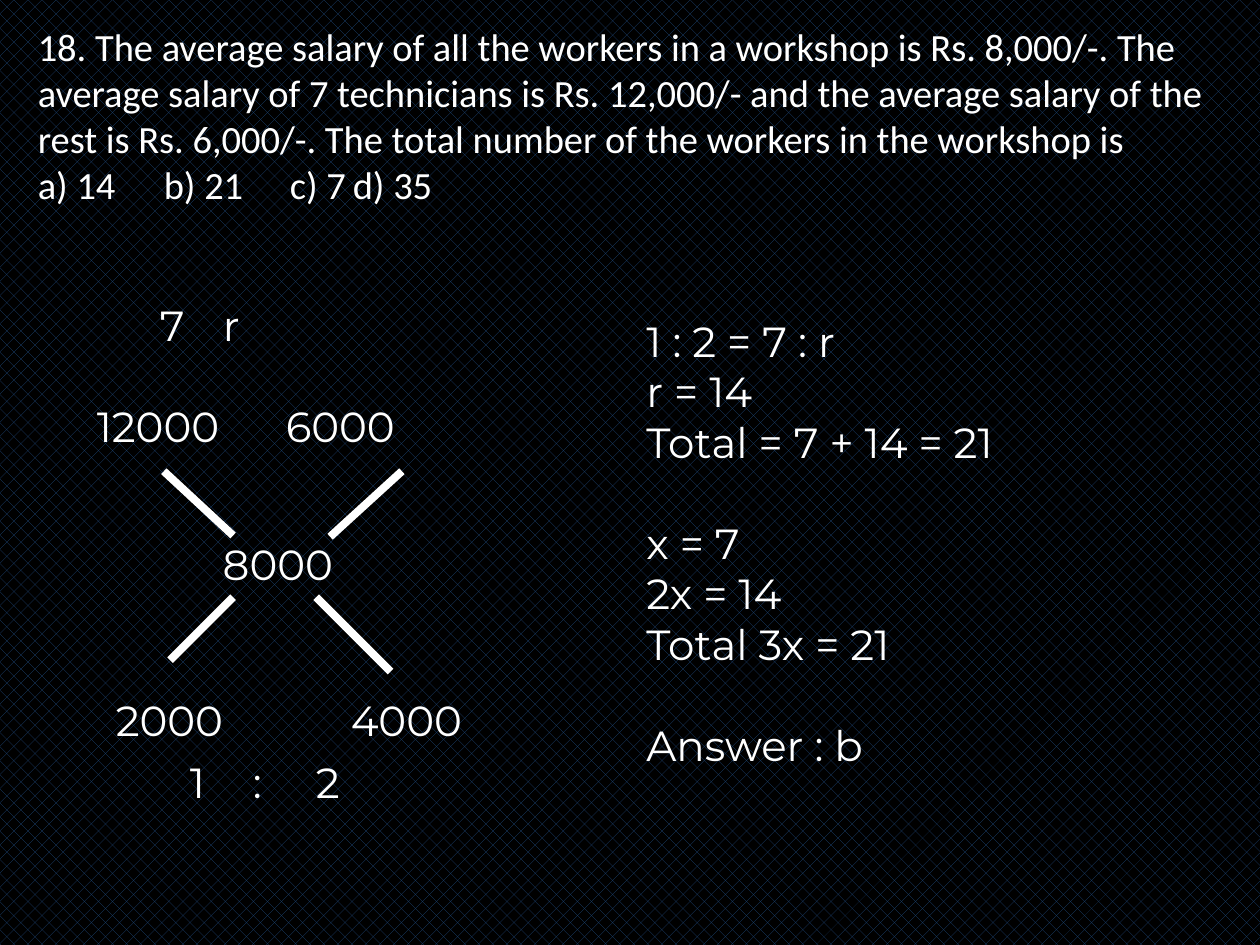
from lxml import etree
from pptx import Presentation
from pptx import util as u
from pptx.dml.color import RGBColor
from pptx.enum import dml, shapes, text
from pptx.oxml import ns

WHITE = RGBColor(0xFF, 0xFF, 0xFF)
BLACK = RGBColor(0, 0, 0)
NAVY = RGBColor(0x1F, 0x49, 0x7D)
COLUMNS, ROWS = 100, 75

QUESTION = (
    "18. The average salary of all the workers in a workshop is Rs. 8,000/-. "
    "The average salary of 7 technicians is Rs. 12,000/- and the average salary "
    "of the rest is Rs. 6,000/-. The total number of the workers in the workshop is"
)
OPTIONS = "a) 14\tb) 21\tc) 7\td) 35"
SOLUTION_GROUPS = [
    ["1 : 2 = 7 : r", "r = 14", "Total = 7 + 14 = 21"],
    ["x = 7", "2x = 14", "Total 3x = 21"],
    ["Answer : b"],
]
CROSS_LINES = [
    (13, 37.4, 18.5, 42.5),
    (26.2, 42.6, 31.9, 37.4),
    (13.5, 52.4, 18.5, 47.4),
    (25.1, 47.4, 31, 53.3),
]
CENTRED_VALUES = [
    ("8000", (16, 42.3, 12.1, 4.8)),
    ("2000", (6.7, 54.7, 13.5, 4.8)),
    ("4000", (25.5, 54.7, 13.5, 4.8)),
]


class SlideBuilder:
    font_name = "Montserrat"
    font_size = 24
    line_gap = 29

    def __init__(self, presentation):
        self.column = presentation.slide_width / COLUMNS
        self.row = presentation.slide_height / ROWS
        self.slide = presentation.slides.add_slide(presentation.slide_layouts[1])

    def background(self):
        fill = self.slide.background.fill
        fill.patterned()
        fill.pattern = dml.MSO_PATTERN.PERCENT_25
        fill.fore_color.rgb = NAVY
        fill.back_color.rgb = BLACK

    def box(self, area):
        left, top, width, height = area
        return (round(left * self.column), round(top * self.row),
                round(width * self.column), round(height * self.row))

    def place(self, shape, area):
        shape.left, shape.top, shape.width, shape.height = self.box(area)

    def fill_text(self, shape, lines, anchor=text.MSO_ANCHOR.MIDDLE,
                  align=text.PP_ALIGN.LEFT, tabs=(), gaps=(),
                  name=font_name, size=font_size):
        frame = shape.text_frame
        frame.text = "\n".join(lines)
        frame.word_wrap = True
        frame.auto_size = text.MSO_AUTO_SIZE.NONE
        frame.vertical_anchor = anchor
        for index, paragraph in enumerate(frame.paragraphs):
            paragraph.alignment = align
            paragraph.space_before = u.Pt(self.line_gap if index in gaps else 0)
            self.paragraph_marks(paragraph, tabs)
            paragraph.font.size = u.Pt(size)
            for run in paragraph.runs:
                run.font.name = name
                run.font.size = u.Pt(size)
                run.font.color.rgb = WHITE

    def paragraph_marks(self, paragraph, tabs):
        properties = paragraph._p.get_or_add_pPr()
        properties.set("marL", "0")
        properties.set("indent", "0")
        etree.SubElement(properties, ns.qn("a:buNone"))
        if tabs:
            tab_list = etree.SubElement(properties, ns.qn("a:tabLst"))
            for position, align in tabs:
                tab = etree.SubElement(tab_list, ns.qn("a:tab"))
                tab.set("pos", str(round(position * self.column)))
                tab.set("algn", align)

    def title(self, lines, area, **style):
        shape = self.slide.shapes.title
        self.place(shape, area)
        self.fill_text(shape, lines, **style)

    def body(self, groups, area):
        shape = self.slide.placeholders[1]
        self.place(shape, area)
        lines = [line for group in groups for line in group]
        starts = [sum(map(len, groups[:index])) for index in range(1, len(groups))]
        self.fill_text(shape, lines, gaps=starts)

    def label(self, lines, area, **style):
        shape = self.slide.shapes.add_textbox(*self.box(area))
        self.fill_text(shape, lines, **style)

    def line(self, ends):
        start_x, start_y, end_x, end_y = self.box(ends)
        connector = self.slide.shapes.add_connector(
            shapes.MSO_CONNECTOR.STRAIGHT, start_x, start_y, end_x, end_y)
        connector.line.color.rgb = WHITE
        connector.line.width = u.Pt(4.5)
        etree.SubElement(connector._element.spPr, ns.qn("a:effectLst"))


def main():
    presentation = Presentation()
    presentation.slide_width = u.Inches(10)
    presentation.slide_height = u.Inches(7.5)

    builder = SlideBuilder(presentation)
    builder.background()
    builder.title([QUESTION, OPTIONS], (2, 1.3, 96.9, 15.8),
                  anchor=text.MSO_ANCHOR.TOP, name="Calibri", size=22,
                  tabs=[(position, "l") for position in (20, 40, 60)])
    builder.body(SOLUTION_GROUPS, (50.3, 22.6, 39, 40.9))
    builder.label(["\t7\tr", "12000\t\t6000"], (6.7, 22.5, 30.7, 14.5),
                  tabs=[(2.6, "ctr"), (19.2, "ctr"), (20.1, "ctr")], gaps=[1])
    for ends in CROSS_LINES:
        builder.line(ends)
    for value, area in CENTRED_VALUES:
        builder.label([value], area, align=text.PP_ALIGN.CENTER)
    builder.label(["\t1\t:\t2"], (9.1, 59.6, 25.4, 4.8),
                  tabs=[(1.4, "ctr"), (8.5, "ctr"), (16.7, "ctr")])

    presentation.save("out.pptx")


if __name__ == "__main__":
    main()
